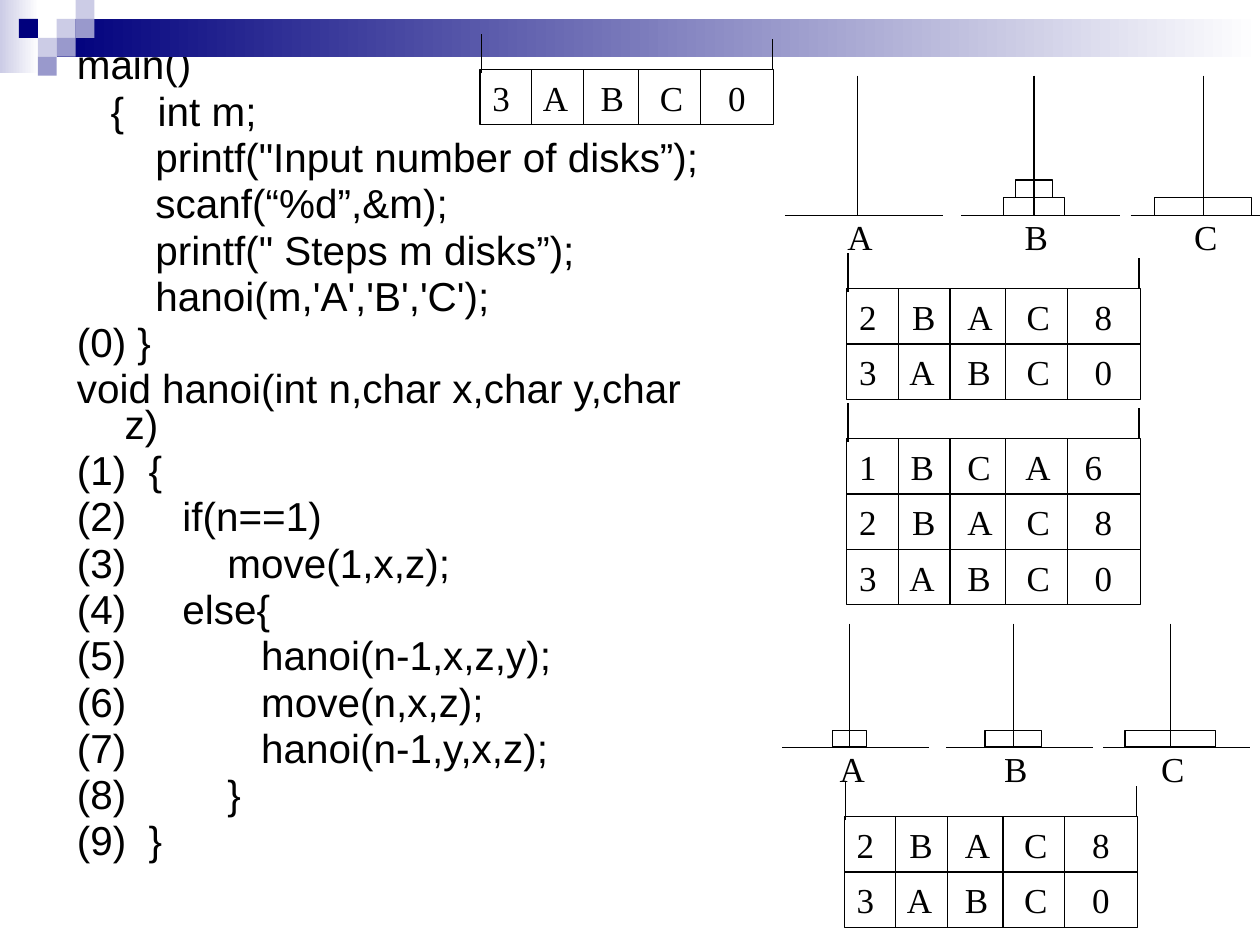
from dataclasses import dataclass

from pptx import Presentation
from pptx.dml.color import RGBColor
from pptx.enum.shapes import MSO_CONNECTOR, MSO_SHAPE
from pptx.enum.text import MSO_ANCHOR, MSO_AUTO_SIZE, PP_ALIGN
from pptx.oxml.ns import qn
from pptx.util import Inches, Pt
from lxml import etree

RECTANGLE = MSO_SHAPE.RECTANGLE
STRAIGHT = MSO_CONNECTOR.STRAIGHT
MIDDLE = MSO_ANCHOR.MIDDLE
NO_AUTOFIT = MSO_AUTO_SIZE.NONE
CENTER = PP_ALIGN.CENTER


@dataclass(frozen=True)
class Theme:
    ink: RGBColor = RGBColor(0x00, 0x00, 0x00)
    white: RGBColor = RGBColor(0xFF, 0xFF, 0xFF)
    navy: RGBColor = RGBColor(0x00, 0x00, 0x7D)
    violet: RGBColor = RGBColor(0x99, 0x99, 0xCC)
    pale: RGBColor = RGBColor(0xCC, 0xCC, 0xE6)
    code_font: str = "Arial"
    code_size: float = 23.1
    label_font: str = "Times New Roman"
    label_size: float = 20
    line_width: float = 0.75


@dataclass(frozen=True)
class Box:
    left: float
    top: float
    width: float
    height: float

    def lengths(self):
        return [Inches(v) for v in (self.left, self.top, self.width, self.height)]


THEME = Theme()

CODE = """main()
   {   int m;
       printf("Input number of disks”);
       scanf(“%d”,&m);
       printf(" Steps m disks”);
       hanoi(m,'A','B','C');
(0) }
void hanoi(int n,char x,char y,char z)
(1)  {
(2)     if(n==1)
(3)         move(1,x,z);
(4)     else{
(5)            hanoi(n-1,x,z,y);
(6)            move(n,x,z);
(7)            hanoi(n-1,y,x,z);
(8)         }
(9)  }"""

CELL_STARTS = (0.41, 0.82, 1.26, 1.75)
ROW_HEIGHT = 0.44
CALL_1 = ("1BCA6", (0.41, 0.86, 1.32, 1.79))
CALL_2 = ("2BAC8", (0.42, 0.86, 1.33, 1.87))
CALL_3 = ("3ABC0", (0.4, 0.86, 1.33, 1.87))


def format_text(text_frame, font_name, size):
    for paragraph in text_frame.paragraphs:
        for run in paragraph.runs:
            run.font.name = font_name
            run.font.size = Pt(size)
            run.font.color.rgb = THEME.ink


def add_line(shapes, x1, y1, x2, y2):
    line = shapes.add_connector(
        STRAIGHT, Inches(x1), Inches(y1), Inches(x2), Inches(y2))
    line.line.color.rgb = THEME.ink
    line.line.width = Pt(THEME.line_width)
    etree.SubElement(line._element.spPr, qn("a:effectLst"))


def add_outline(shapes, box):
    shape = shapes.add_shape(RECTANGLE, *box.lengths())
    shape.shadow.inherit = False
    shape.fill.background()
    shape.line.color.rgb = THEME.ink
    shape.line.width = Pt(THEME.line_width)
    return shape


def add_block(shapes, box, color, fade=False):
    block = shapes.add_shape(RECTANGLE, *box.lengths())
    block.shadow.inherit = False
    block.line.fill.background()
    if fade:
        block.fill.gradient()
        block.fill.gradient_angle = 180
        for stop, stop_color in zip(block.fill.gradient_stops, (THEME.white, color)):
            stop.color.rgb = stop_color
    else:
        block.fill.solid()
        block.fill.fore_color.rgb = color


def add_header(slide, box):
    shapes = slide.shapes.add_group_shape().shapes
    unit = box.height / 4
    add_block(shapes, Box(box.left, box.top, 0.31, 0.58), THEME.pale, fade=True)
    add_block(shapes, Box(box.left + 3 * unit, box.top + unit,
                          box.width - 3 * unit, 2 * unit), THEME.navy, fade=True)
    tiles = ((3, 1, THEME.pale), (4, 0, THEME.pale), (4, 1, THEME.violet),
             (2, 2, THEME.pale), (1, 1, THEME.navy), (3, 2, THEME.violet),
             (2, 3, THEME.violet))
    for column, row, color in tiles:
        add_block(shapes, Box(box.left + column * unit, box.top + row * unit,
                              unit, unit), color)


def add_code(slide, box):
    body = slide.placeholders[1]
    body.left, body.top, body.width, body.height = box.lengths()
    text_frame = body.text_frame
    text_frame.text = CODE
    text_frame.word_wrap = True
    text_frame.auto_size = NO_AUTOFIT
    for index, paragraph in enumerate(text_frame.paragraphs):
        properties = paragraph._p.get_or_add_pPr()
        properties.set("marL", str(Inches(0.38)))
        properties.set("indent", str(Inches(-0.38)))
        etree.SubElement(properties, qn("a:buNone"))
        paragraph.line_spacing = 0.73
        paragraph.space_before = Pt(6.2 if index else 0)
    format_text(text_frame, THEME.code_font, THEME.code_size)


def add_towers(slide, box, disks):
    shapes = slide.shapes.add_group_shape().shapes
    base_y = box.top + box.height
    base_width = 0.314 * box.width
    disk_height = 0.035 * box.width
    pegs = {}
    for name, start in zip("ABC", (0, 0.35, 0.686)):
        left = box.left + start * box.width
        pegs[name] = left + 0.144 * box.width
        add_line(shapes, left, base_y, left + base_width, base_y)
        add_line(shapes, pegs[name], box.top, pegs[name], base_y)
        label = shapes.add_textbox(
            *Box(pegs[name] - 0.18, base_y - 0.05, 0.4, 0.44).lengths())
        label.text_frame.text = name
        label.text_frame.word_wrap = False
        label.text_frame.vertical_anchor = MIDDLE
        label.text_frame.paragraphs[0].alignment = CENTER
        format_text(label.text_frame, THEME.label_font, THEME.label_size)
    for peg, level, width in disks:
        add_outline(shapes, Box(pegs[peg] - width / 2,
                                base_y - (level + 1) * disk_height,
                                width, disk_height))


def add_row(shapes, box, values, tab_stops):
    row = add_outline(shapes, box)
    row.text_frame.text = "\t".join(values)
    row.text_frame.word_wrap = True
    row.text_frame.vertical_anchor = MIDDLE
    paragraph = row.text_frame.paragraphs[0]
    paragraph.alignment = PP_ALIGN.LEFT
    tabs = etree.SubElement(paragraph._p.get_or_add_pPr(), qn("a:tabLst"))
    for stop in tab_stops:
        etree.SubElement(tabs, qn("a:tab"), pos=str(Inches(stop)), algn="l")
    format_text(row.text_frame, THEME.label_font, THEME.label_size)
    for start in CELL_STARTS:
        x = box.left + start
        add_line(shapes, x, box.top, x, box.top + box.height)


def add_stack(slide, left, top, calls):
    shapes = slide.shapes.add_group_shape().shapes
    width = 2.33
    for index, (values, tab_stops) in enumerate(calls):
        row_box = Box(left, top + index * ROW_HEIGHT, width, ROW_HEIGHT)
        add_row(shapes, row_box, values, tab_stops)
    add_line(shapes, left + 0.01, top + 0.03, left + 0.01, top - 0.28)
    add_line(shapes, left + width - 0.01, top, left + width - 0.01, top - 0.24)


def main():
    presentation = Presentation()
    presentation.slide_width = Inches(10)
    presentation.slide_height = Inches(7.5)
    slide = presentation.slides.add_slide(presentation.slide_layouts[1])
    title = slide.shapes.title._element
    title.getparent().remove(title)
    add_header(slide, Box(0, 0, 10, 0.6))
    add_code(slide, Box(0.51, 0.36, 5.2, 6.34))
    add_towers(slide, Box(6.23, 0.6, 4, 1.11),
               (("B", 0, 0.48), ("B", 1, 0.29), ("C", 0, 0.77)))
    add_stack(slide, 6.72, 2.29, (CALL_2, CALL_3))
    add_stack(slide, 6.72, 3.48, (CALL_1, CALL_2, CALL_3))
    add_towers(slide, Box(6.21, 4.95, 3.71, 0.98),
               (("B", 0, 0.45), ("C", 0, 0.72), ("A", 0, 0.27)))
    add_stack(slide, 6.7, 6.48, (CALL_2, CALL_3))
    add_stack(slide, 3.81, 0.55, (CALL_3,))
    presentation.save("out.pptx")


if __name__ == "__main__":
    main()
